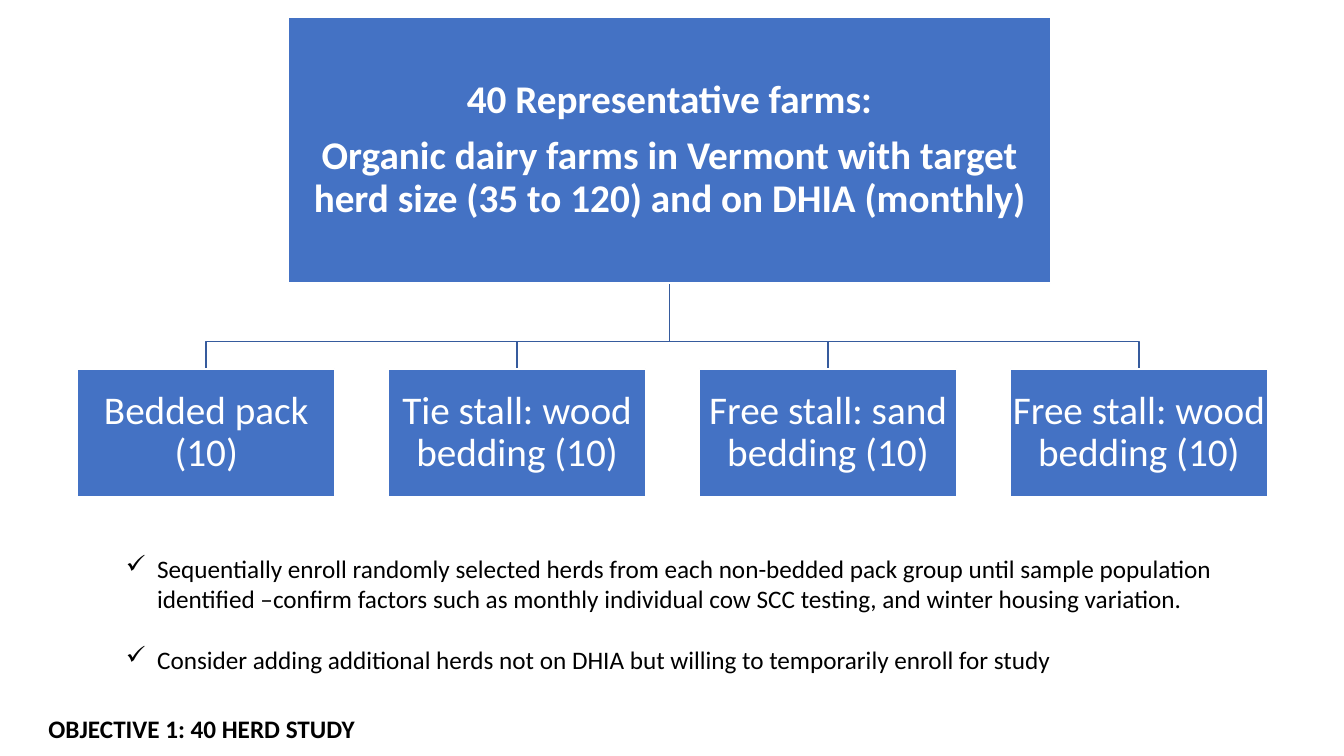
from lxml import etree
from pptx import Presentation
from pptx.dml.color import RGBColor
from pptx.enum.shapes import MSO_SHAPE
from pptx.enum.text import MSO_ANCHOR, MSO_AUTO_SIZE, PP_ALIGN
from pptx.oxml.ns import qn
from pptx.util import Inches, Pt

RECTANGLE = MSO_SHAPE.RECTANGLE
TOP, MIDDLE = MSO_ANCHOR.TOP, MSO_ANCHOR.MIDDLE
LEFT, CENTER = PP_ALIGN.LEFT, PP_ALIGN.CENTER
NO_AUTOFIT = MSO_AUTO_SIZE.NONE

COLORS = {"box": "4472C4", "branch": "365B9D", "white": "FFFFFF", "black": "000000"}
FONT = "Calibri"
SLIDE_WIDTH, SLIDE_HEIGHT = 13.33, 7.5
TITLE_ONLY = 5

TITLE = "OBJECTIVE 1: 40 HERD STUDY"
FARMS = [
    "40 Representative farms:",
    "Organic dairy farms in Vermont with target herd size (35 to 120) and on DHIA (monthly)",
]
HOUSING_GROUPS = [
    "Bedded pack (10)",
    "Tie stall: wood bedding (10)",
    "Free stall: sand bedding (10)",
    "Free stall: wood bedding (10)",
]
ENROLLMENT_NOTES = [
    "Sequentially enroll randomly selected herds from each non-bedded pack group until "
    "sample population identified –confirm factors such as monthly individual cow SCC "
    "testing, and winter housing variation.",
    "Consider adding additional herds not on DHIA but willing to temporarily enroll for study",
]


def color(name):
    return RGBColor.from_string(COLORS[name])


def add_text(paragraph, text, size, color_name, bold=False):
    run = paragraph.add_run()
    run.text = text
    run.font.name = FONT
    run.font.size = Pt(size)
    run.font.bold = bold
    run.font.color.rgb = color(color_name)


def fill_paragraphs(frame, texts):
    """Yield a paragraph of the frame for each text."""
    for index, text in enumerate(texts):
        yield frame.add_paragraph() if index else frame.paragraphs[0], text


def add_chart_box(slide, box, texts, bold=False):
    shape = slide.shapes.add_shape(RECTANGLE, *map(Inches, box))
    shape.shadow.inherit = False
    shape.fill.solid()
    shape.fill.fore_color.rgb = color("box")
    shape.line.color.rgb = color("white")
    shape.line.width = Pt(1)
    frame = shape.text_frame
    frame.word_wrap = True
    frame.vertical_anchor = MIDDLE
    frame.margin_left = frame.margin_right = Inches(0.02)
    frame.margin_top = frame.margin_bottom = Inches(0.02)
    for paragraph, text in fill_paragraphs(frame, texts):
        paragraph.alignment = CENTER
        paragraph.line_spacing = 0.9
        if text != texts[-1]:
            paragraph.space_after = Pt(10)
        add_text(paragraph, text, 28, "white", bold)


def add_branch(slide, start, bend_y, end):
    points = [(start[0], bend_y), (end[0], bend_y), end]
    builder = slide.shapes.build_freeform(*map(Inches, start), scale=1.0)
    builder.add_line_segments([(Inches(x), Inches(y)) for x, y in points], close=False)
    branch = builder.convert_to_shape()
    branch.shadow.inherit = False
    branch.fill.background()
    branch.line.color.rgb = color("branch")
    branch.line.width = Pt(1)


def add_herd_chart(slide, box):
    left, top, width, height = box
    root_width, root_height = 7.56, 2.64
    group_width, group_height = 2.55, 1.27
    pitch = (width - group_width) / (len(HOUSING_GROUPS) - 1)
    root_left = left + 2.09
    group_top = top + height - group_height
    root_bottom = (root_left + root_width / 2, top + root_height)
    bend_y = root_bottom[1] + 0.58
    group_lefts = [left + index * pitch for index in range(len(HOUSING_GROUPS))]

    for group_left in group_lefts:
        add_branch(slide, root_bottom, bend_y, (group_left + group_width / 2, group_top))
    add_chart_box(slide, (root_left, top, root_width, root_height), FARMS, bold=True)
    for group_left, group in zip(group_lefts, HOUSING_GROUPS):
        add_chart_box(slide, (group_left, group_top, group_width, group_height), [group])


def add_check_bullet(paragraph, indent):
    properties = paragraph._p.get_or_add_pPr()
    properties.set("marL", str(Inches(indent)))
    properties.set("indent", str(-Inches(indent)))
    etree.SubElement(properties, qn("a:buChar"), char="✓")


def add_enrollment_notes(slide, box):
    frame = slide.shapes.add_textbox(*map(Inches, box)).text_frame
    frame.word_wrap = True
    for paragraph, text in fill_paragraphs(frame, ENROLLMENT_NOTES):
        if text != ENROLLMENT_NOTES[0]:
            paragraph.space_before = Pt(22)
        add_check_bullet(paragraph, 0.31)
        add_text(paragraph, text, 18, "black")


def place_title(slide, box):
    title = slide.shapes.title
    title.left, title.top, title.width, title.height = map(Inches, box)
    frame = title.text_frame
    frame.word_wrap = True
    frame.auto_size = NO_AUTOFIT
    frame.vertical_anchor = TOP
    paragraph = frame.paragraphs[0]
    paragraph.alignment = LEFT
    add_text(paragraph, TITLE, 18, "black", bold=True)


def main():
    presentation = Presentation()
    presentation.slide_width = Inches(SLIDE_WIDTH)
    presentation.slide_height = Inches(SLIDE_HEIGHT)
    slide = presentation.slides.add_slide(presentation.slide_layouts[TITLE_ONLY])
    add_herd_chart(slide, (0.77, 0.17, 11.8, 4.76))
    add_enrollment_notes(slide, (1.15, 5.44, 11.19, 1.62))
    place_title(slide, (0.38, 7.03, 4.14, 0.4))
    presentation.save("out.pptx")


if __name__ == "__main__":
    main()
